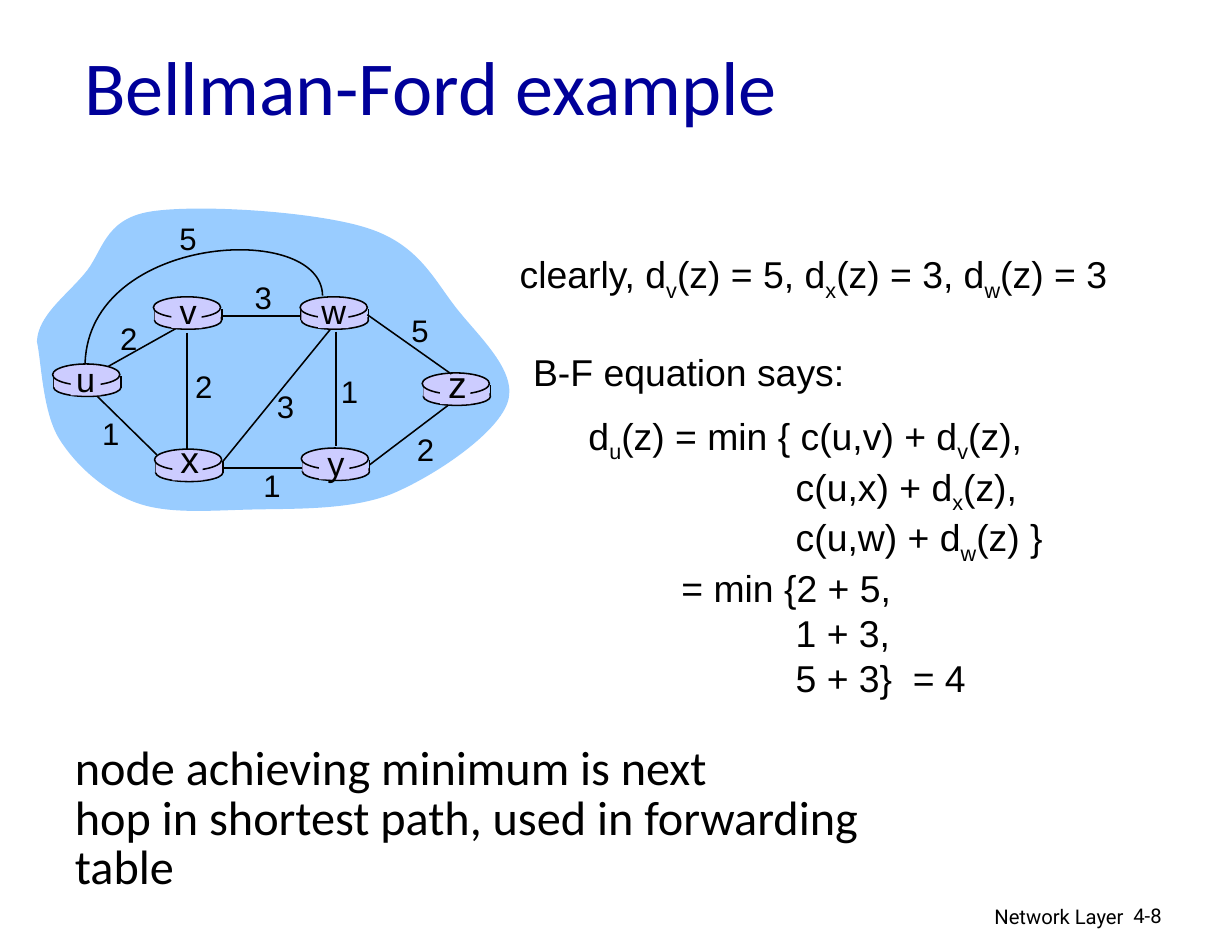
import pptx
import pptx.dml.color
import pptx.enum.shapes
import pptx.enum.text
import pptx.oxml
import pptx.oxml.ns
import pptx.util

BLACK = pptx.dml.color.RGBColor(0x00, 0x00, 0x00)
TITLE_BLUE = pptx.dml.color.RGBColor(0x00, 0x00, 0x99)
CLOUD_BLUE = pptx.dml.color.RGBColor(0x99, 0xCC, 0xFF)
ROUTER_LILAC = pptx.dml.color.RGBColor(0xCC, 0xCC, 0xFF)
ALIGN = pptx.enum.text.PP_ALIGN
ANCHOR = pptx.enum.text.MSO_ANCHOR
SHAPE = pptx.enum.shapes.MSO_SHAPE
STRAIGHT = pptx.enum.shapes.MSO_CONNECTOR.STRAIGHT
DRAWING_NS = pptx.oxml.ns.nsdecls("a")

deck = pptx.Presentation()
deck.slide_width = pptx.util.Inches(11)
deck.slide_height = pptx.util.Inches(8.5)
CELL = deck.slide_width / 110  # the grid has 110 columns and 85 rows
page = deck.slides.add_slide(deck.slide_layouts[5])


def cells(*counts):
    """Turn counts of grid cells into lengths."""
    return [pptx.util.Emu(round(count * CELL)) for count in counts]


def write(box, lines, size, font, color=BLACK, align=ALIGN.LEFT,
          anchor=ANCHOR.TOP, inset=(1.1, 0.55)):
    """Fill a box with lines; the letter after each underscore is a subscript."""
    frame = box.text_frame
    frame.word_wrap = True
    frame.vertical_anchor = anchor
    frame.margin_left = frame.margin_right = cells(inset[0])[0]
    frame.margin_top = frame.margin_bottom = cells(inset[1])[0]
    for number, line in enumerate(lines):
        para = frame.paragraphs[0] if number == 0 else frame.add_paragraph()
        para.alignment = align
        first, *rest = line.split("_")
        pieces = [(first, False)]
        for part in rest:
            pieces += [(part[0], True), (part[1:], False)]
        for text, lowered in pieces:
            span = para.add_run()
            span.text = text
            span.font.size = pptx.util.Pt(size)
            span.font.name = font
            span.font.color.rgb = color
            if lowered:
                span._r.get_or_add_rPr().set("baseline", "-25000")


title = page.shapes.title
title.left, title.top, title.width, title.height = cells(6.4, 2.2, 93.5, 10.8)
write(title, ["Bellman-Ford example"], 49, "Calibri", TITLE_BLUE, anchor=ANCHOR.MIDDLE)

# Each curve is a start point followed by cubic pieces: two controls and an end
cloud = [(3.3, 30.5),
         (3.4, 28.2), (5.8, 26.5), (7.5, 24.5), (9.2, 22.6), (9.2, 19.6), (13.4, 18.9),
         (17.7, 18.2), (28.4, 18.9), (32.9, 20.4), (37.5, 21.9), (38.8, 25.1), (40.9, 27.7),
         (43, 30.3), (46.3, 33.3), (45.3, 36), (44.3, 38.8), (38.8, 42.5), (35, 44.1),
         (31.2, 45.6), (26.1, 45.4), (22.3, 45.5), (18.5, 45.6), (15, 45.9), (12.2, 44.9),
         (9.4, 43.9), (6.8, 41.6), (5.3, 39.2), (3.8, 36.8), (3.7, 32.3), (3.3, 30.5)]
u_w_link = [(28.8, 26.4), (28.7, 19.7), (8, 20.9), (7.6, 32.4)]
outlines = []
for curve in (cloud, u_w_link):
    builder = page.shapes.build_freeform(*cells(*curve[0]))
    builder.add_line_segments([cells(*point) for point in curve[1:]], close=curve is cloud)
    outline = builder.convert_to_shape()
    outline.shadow.inherit = False
    segments = list(outline._element.iter(pptx.oxml.ns.qn("a:lnTo")))
    for index in range(0, len(curve) - 1, 3):
        cubic = pptx.oxml.parse_xml(f"<a:cubicBezTo {DRAWING_NS}/>")
        segments[index].addprevious(cubic)
        for segment in segments[index:index + 3]:
            cubic.append(segment[0])
            segment.getparent().remove(segment)
    outlines.append(outline)
cloud_shape, arc_shape = outlines
cloud_shape.fill.solid()
cloud_shape.fill.fore_color.rgb = CLOUD_BLUE
cloud_shape.line.fill.background()
arc_shape.fill.background()
arc_shape.line.color.rgb = BLACK
arc_shape.line.width = pptx.util.Pt(1)

# Left and top of each router, then centre and size of its label
routers = {
    "u": (4.7, 32.5, 7.65, 33.85, 22), "x": (13.8, 40.1, 16.95, 40.95, 24),
    "v": (13.7, 26.5, 16.8, 27.75, 22), "w": (26.8, 26.5, 29.8, 27.75, 22),
    "y": (26.9, 40, 30, 41.35, 22), "z": (37.7, 33.3, 40.85, 34.25, 24),
}
links = [
    (9.7, 32.7, 16.3, 29), (30, 29.6, 30, 39.8), (16.7, 29.7, 16.7, 40.2),
    (19.9, 41.2, 29.5, 29.4), (33, 41.5, 40, 36.2), (27, 41.8, 20, 41.8),
    (14, 40.6, 8.7, 35.4), (26.9, 28.2, 19.9, 28.2), (40.3, 33.4, 32.8, 28.1),
]
# Drawing order: first link, router bodies, other links, router labels
parts = [("link", links[0])]
for left, top, *label in routers.values():
    parts += [
        ("lined", (SHAPE.OVAL, left + 0.1, top + 1.3, 6, 1.6)),
        ("link", (left + 0.1, top + 1.1, left + 0.1, top + 2.1)),
        ("link", (left + 6.1, top + 1.1, left + 6.1, top + 2.1)),
        ("plain", (SHAPE.RECTANGLE, left + 0.1, top + 1.1, 5.9, 1)),
        ("lined", (SHAPE.OVAL, left, top, 6, 1.9)),
    ]
parts += [("link", link) for link in links[1:]]
parts += [("plain", (SHAPE.RECTANGLE, left + 1.6, top + 0.2, 2.7, 2.6))
          for left, top, *label in routers.values()]
for kind, geometry in parts:
    if kind == "link":
        item = page.shapes.add_connector(STRAIGHT, *cells(*geometry))
        item._element.spPr.append(pptx.oxml.parse_xml(f"<a:effectLst {DRAWING_NS}/>"))
    else:
        item = page.shapes.add_shape(geometry[0], *cells(*geometry[1:]))
        item.shadow.inherit = False
        item.fill.solid()
        item.fill.fore_color.rgb = ROUTER_LILAC
    if kind == "plain":
        item.line.fill.background()
    else:
        item.line.color.rgb = BLACK
        item.line.width = pptx.util.Pt(1)

costs = [
    ("2", 9.7, 28), ("2", 16.4, 32.3), ("1", 8.1, 36.5), ("3", 23.7, 34.1), ("1", 22.5, 41.1),
    ("1", 29.4, 32.7), ("2", 36.2, 37.9), ("5", 35.7, 27.3), ("3", 21.7, 24.3), ("5", 15, 19.1),
]
labels = [(name, centre - 1.8, middle - 2.35, 4.7, size)
          for name, (left, top, centre, middle, size) in routers.items()]
labels += [(cost, left, top, 4.4, 20) for cost, left, top in costs]
for text, left, top, height, size in labels:
    box = page.shapes.add_textbox(*cells(left, top, 3.6, height))
    write(box, [text], size, "Arial", align=ALIGN.CENTER, anchor=ANCHOR.MIDDLE, inset=(0, 0))

known = page.shapes.add_textbox(*cells(45.3, 21.9, 55.7, 5.2))
write(known, ["clearly, d_v(z) = 5, d_x(z) = 3, d_w(z) = 3"], 24, "Arial")

equation = page.shapes.add_textbox(*cells(51.45, 36.3, 43.3, 25.4))
write(equation, ["d_u(z) = min { c(u,v) + d_v(z),", "c(u,x) + d_x(z),", "c(u,w) + d_w(z) }",
                 "= min {2 + 5,", "1 + 3,", "5 + 3}  = 4"], 24, "Arial")
for para, indent in zip(equation.text_frame.paragraphs, cells(0, 18.5, 18.5, 8.3, 18.5, 18.5)):
    para._p.get_or_add_pPr().set("marL", str(indent))

remark = page.shapes.add_textbox(*cells(5.6, 66.1, 81.7, 10.2))
write(remark, ["node achieving minimum is next",
               "hop in shortest path, used in forwarding table"], 31, "Calibri")
for para in remark.text_frame.paragraphs:
    para.line_spacing = 0.85

heading = page.shapes.add_textbox(*cells(46.5, 30.6, 30.3, 5.2))
write(heading, ["B-F equation says:"], 24, "Arial")

footer = page.shapes.add_textbox(*cells(66.6, 80.2, 34.8, 3.6))
write(footer, ["Network Layer"], 13, "Roboto", align=ALIGN.RIGHT)
number_box = page.shapes.add_textbox(*cells(100.1, 80.1, 8.1, 3.4))
write(number_box, ["4-8"], 13, "Roboto")

deck.save("out.pptx")
